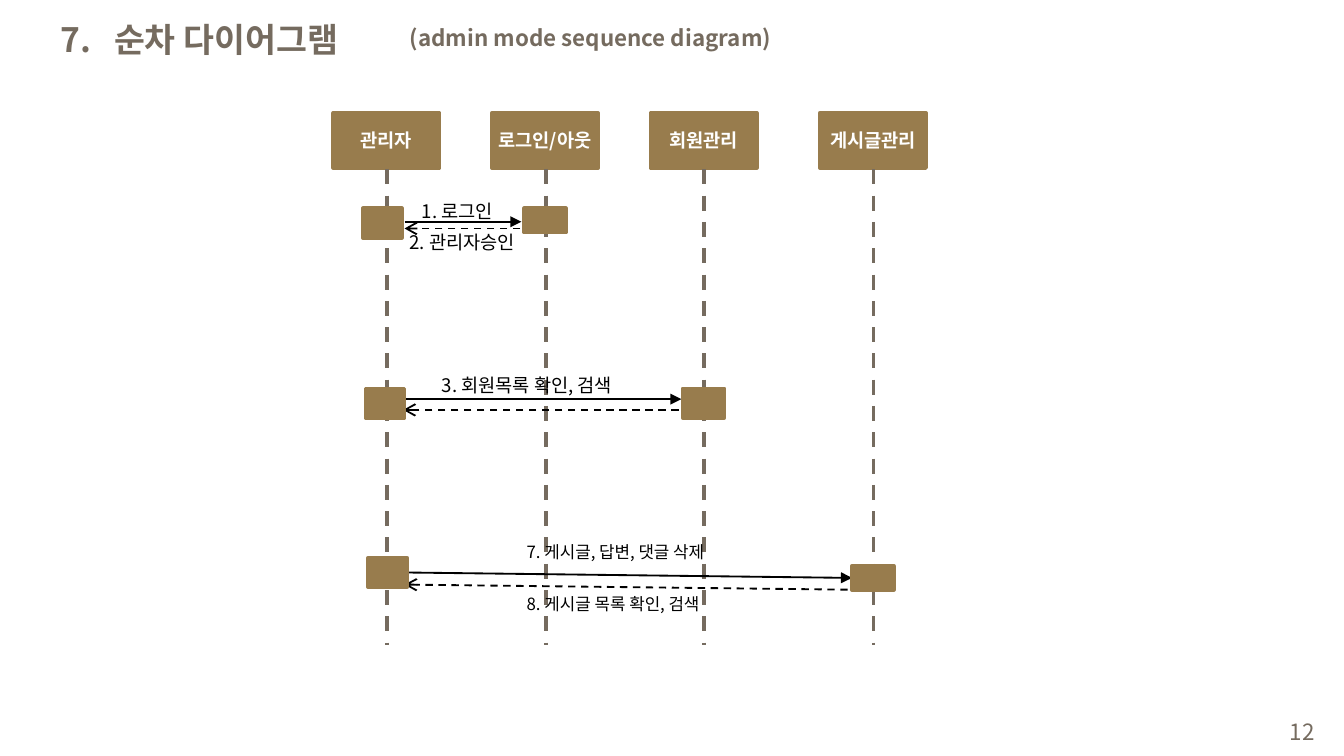
from pptx import Presentation
from pptx import util as u
from pptx.dml.color import RGBColor
from pptx.enum import dml, shapes, text
from pptx.oxml.ns import qn

FONT = "Noto Sans CJK KR"
BROWN = RGBColor(0x98, 0x7C, 0x4D)
GRAY = RGBColor(0x75, 0x6B, 0x5F)
BLACK = RGBColor(0, 0, 0)
WHITE = RGBColor(255, 255, 255)

HEADS = [("관리자", 0), ("로그인/아웃", 1.18), ("회원관리", 2.36), ("게시글관리", 3.62)]
CALLS = [
    ((0.53, 0.81), (1.40, 0.81), False),
    ((1.39, 0.86), (0.53, 0.86), True),
    ((0.54, 2.13), (2.59, 2.13), False),
    ((2.57, 2.21), (0.52, 2.21), True),
    ((0.55, 3.42), (3.86, 3.46), False),
    ((4.02, 3.55), (0.53, 3.51), True),
]
BARS = [
    (0.22, 0.71, 0.29, 0.22),
    (1.42, 0.71, 0.31, 0.18),
    (0.24, 2.05, 0.29, 0.22),
    (2.60, 2.05, 0.31, 0.22),
    (0.26, 3.31, 0.29, 0.22),
    (3.86, 3.37, 0.31, 0.18),
]
NOTES = [
    ("1. 로그인", (0.56, 0.60, 0.78, 0.27), 10),
    ("2. 관리자승인", (0.47, 0.83, 1.06, 0.27), 10),
    ("3. 회원목록 확인, 검색", (0.71, 1.89, 1.61, 0.27), 10),
    ("7. 게시글, 답변, 댓글 삭제", (1.34, 3.14, 1.72, 0.25), 9),
    ("8. 게시글 목록 확인, 검색", (1.34, 3.53, 1.64, 0.25), 9),
]


def apply(obj, vals):
    """Set each named attribute of an object."""
    for name, val in vals.items():
        setattr(obj, name, val)


def write(shape, words, size, color, bold=False, align=text.PP_ALIGN.LEFT, **frame):
    """Put one styled paragraph in a shape."""
    apply(shape.text_frame, frame)
    para = shape.text_frame.paragraphs[0]
    para.alignment = align
    run = para.add_run()
    run.text = words
    apply(run.font, {"name": FONT, "size": u.Pt(size), "bold": bold})
    run.font.color.rgb = color
    props = run.font._element
    east = props.makeelement(qn("a:ea"), {"typeface": FONT})
    props.find(qn("a:latin")).addnext(east)
    return para


def label(slide, box, words, size, color, **style):
    """Add a text box."""
    shape = slide.shapes.add_textbox(*map(u.Inches, box))
    return write(shape, words, size, color, **style)


def block(slide, box):
    """Add a brown rectangle."""
    shape = slide.shapes.add_shape(shapes.MSO_SHAPE.RECTANGLE, *map(u.Inches, box))
    shape.shadow.inherit = False
    shape.fill.solid()
    shape.fill.fore_color.rgb = BROWN
    shape.line.color.rgb = BROWN
    shape.line.width = u.Pt(2)
    return shape


def link(slide, start, end, color, width, dash=False, tip=None):
    """Add a straight line with an optional arrowhead."""
    line = slide.shapes.add_connector(
        shapes.MSO_CONNECTOR.STRAIGHT, *map(u.Inches, (*start, *end)))
    line.line.color.rgb = color
    line.line.width = u.Pt(width)
    if dash:
        line.line.dash_style = dml.MSO_LINE.DASH
    if tip:
        edge = line.line._get_or_add_ln()
        edge.append(edge.makeelement(qn("a:tailEnd"), {"type": tip}))
    props = line._element.spPr
    props.append(props.makeelement(qn("a:effectLst"), {}))


def header(slide, left, top):
    """Place the numbered title and its subtitle."""
    label(slide, (left + 2.6, top + 0.04, 3.31, 0.3),
          "(admin mode sequence diagram)", 12, GRAY, bold=True, word_wrap=True)
    para = label(slide, (left, top, 3.21, 0.4), "7.\t순차 다이어그램", 18, GRAY,
                 bold=True, word_wrap=True)
    indent = u.Inches(0.4)
    props = para._p.get_or_add_pPr()
    props.set("marL", str(indent))
    props.set("indent", str(-indent))


def diagram(slide, left, top):
    """Place the sequence diagram with its actors, calls and notes."""
    for words, x in HEADS:
        head = block(slide, (left + x, top, 0.79, 0.41))
        write(head, words, 10, WHITE, bold=True, align=text.PP_ALIGN.CENTER,
              vertical_anchor=text.MSO_ANCHOR.MIDDLE, margin_left=0,
              margin_right=0, margin_top=0, margin_bottom=0)
        mid = left + x + 0.4
        link(slide, (mid, top + 0.42), (mid, top + 3.96), GRAY, 2, True)
    for start, end, reply in CALLS:
        ends = [(left + x, top + y) for x, y in (start, end)]
        link(slide, *ends, BLACK, 1, reply, "arrow" if reply else "triangle")
    for x, y, wide, high in BARS:
        block(slide, (left + x, top + y, wide, high))
    for words, (x, y, wide, high), size in NOTES:
        label(slide, (left + x, top + y, wide, high), words, size, BLACK,
              word_wrap=False)


def footer(slide, left, top):
    """Place the page number."""
    label(slide, (left, top, 2.33, 0.3), "12", 12, GRAY,
          align=text.PP_ALIGN.RIGHT, word_wrap=True,
          vertical_anchor=text.MSO_ANCHOR.MIDDLE)


def main():
    """Build and save the slide."""
    deck = Presentation()
    wide = u.Inches(10)
    apply(deck, {"slide_width": wide, "slide_height": wide * 9 // 16})
    slide = deck.slides.add_slide(deck.slide_layouts[6])
    footer(slide, 7.55, 5.29)
    header(slide, 0.35, 0.09)
    diagram(slide, 2.48, 0.84)
    deck.save("out.pptx")


if __name__ == "__main__":
    main()
